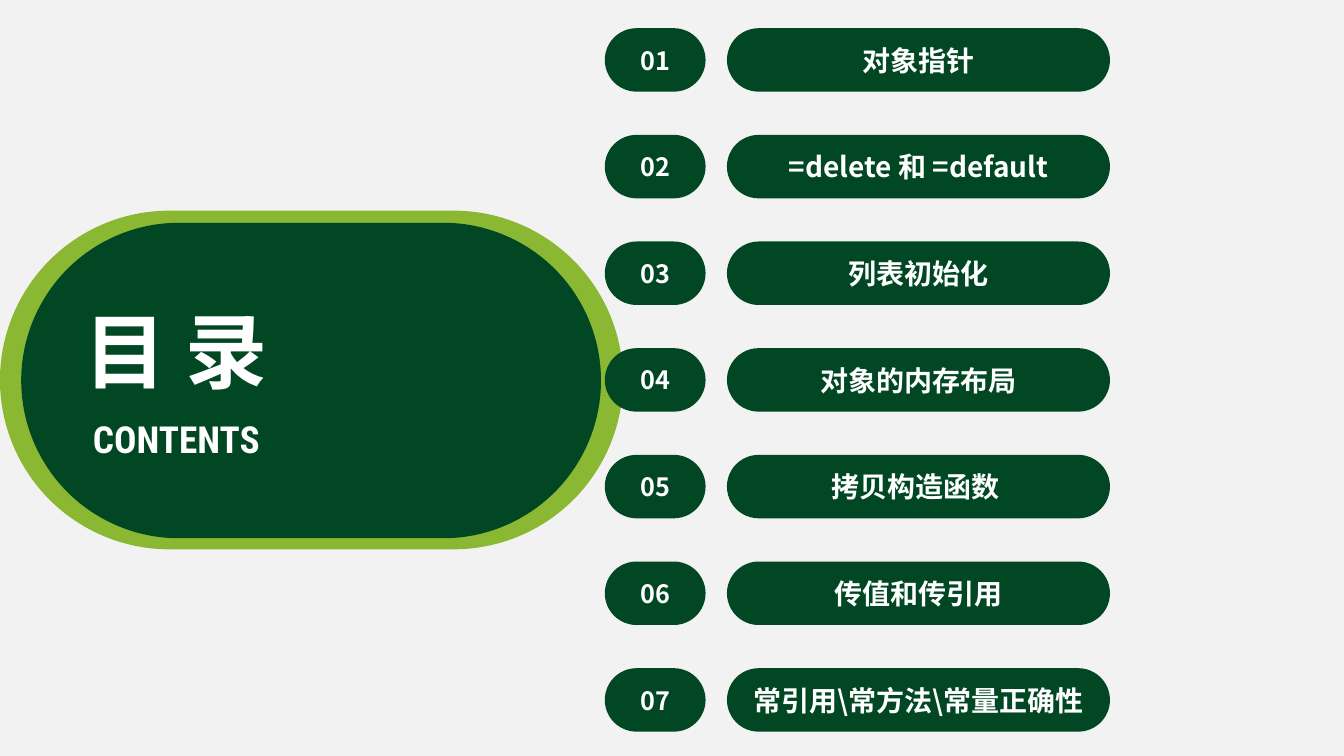
from dataclasses import dataclass

from lxml import etree
from pptx import Presentation
from pptx.dml.color import RGBColor
from pptx.enum.shapes import MSO_SHAPE
from pptx.enum.text import MSO_ANCHOR, MSO_AUTO_SIZE, PP_ALIGN
from pptx.oxml.ns import qn
from pptx.util import Emu, Inches, Pt

PILL = MSO_SHAPE.ROUNDED_RECTANGLE
CENTER = PP_ALIGN.CENTER
MIDDLE = MSO_ANCHOR.MIDDLE
GROW = MSO_AUTO_SIZE.SHAPE_TO_FIT_TEXT

SLIDE_W = Inches(13.333)
SLIDE_H = Inches(7.5)


@dataclass(frozen=True)
class Theme:
    paper: str = "F2F2F2"
    dark: str = "014723"
    lime: str = "8AB833"
    white: str = "FFFFFF"
    cjk: str = "Noto Sans CJK SC"
    latin: str = "Roboto Condensed"
    title: float = 58.6
    subtitle: float = 26.6
    number: float = 18
    topic: float = 20


@dataclass(frozen=True)
class Box:
    """A frame in percent of the slide's width and height."""
    x: float
    y: float
    w: float
    h: float

    def emu(self) -> tuple[Emu, Emu, Emu, Emu]:
        return (Emu(int(SLIDE_W * self.x / 100)), Emu(int(SLIDE_H * self.y / 100)),
                Emu(int(SLIDE_W * self.w / 100)), Emu(int(SLIDE_H * self.h / 100)))


@dataclass(frozen=True)
class Label:
    text: str
    size: float
    font: str


THEME = Theme()

# Agenda grid, in percent of the slide
ROW_TOP, ROW_STEP, ROW_H = 3.73, 14.11, 8.4
NUMBER_X, NUMBER_W = 45, 7.5
TOPIC_X, TOPIC_W = 54.09, 28.5

TOPICS = (
    "对象指针",
    "=delete 和 =default",
    "列表初始化",
    "对象的内存布局",
    "拷贝构造函数 ",
    "传值和传引用",
    "常引用\\常方法\\常量正确性",
)

BADGE = (
    (Box(0, 27.87, 46.36, 44.8), THEME.lime),
    (Box(1.58, 29.47, 43.14, 41.73), THEME.dark),
)
HEADINGS = (
    (Box(4.65, 54.4, 16.95, 7.33), Label("CONTENTS", THEME.subtitle, THEME.latin)),
    (Box(5.25, 39.07, 15.68, 14.53), Label("目 录", THEME.title, THEME.cjk)),
)


def write(tf, label: Label) -> None:
    tf.text = label.text
    p = tf.paragraphs[0]
    p.alignment = CENTER
    r = p.runs[0]
    r.font.name = label.font
    r.font.size = Pt(label.size)
    r.font.bold = True
    r.font.color.rgb = RGBColor.from_string(THEME.white)
    # East Asian typeface
    etree.SubElement(r.font._element, qn("a:ea"), typeface=label.font)


def add_pill(s, box: Box, color: str, label: Label | None = None) -> None:
    sp = s.shapes.add_shape(PILL, *box.emu())
    sp.adjustments[0] = 0.5
    sp.shadow.inherit = False
    sp.fill.solid()
    sp.fill.fore_color.rgb = RGBColor.from_string(color)
    sp.line.fill.background()
    if label:
        tf = sp.text_frame
        tf.word_wrap = True
        tf.vertical_anchor = MIDDLE
        write(tf, label)


def add_heading(s, box: Box, label: Label) -> None:
    tf = s.shapes.add_textbox(*box.emu()).text_frame
    tf.word_wrap = False
    tf.auto_size = GROW
    write(tf, label)


def main() -> None:
    prs = Presentation()
    prs.slide_width, prs.slide_height = SLIDE_W, SLIDE_H
    s = prs.slides.add_slide(prs.slide_layouts[6])
    s.background.fill.solid()
    s.background.fill.fore_color.rgb = RGBColor.from_string(THEME.paper)

    # Title badge
    for box, color in BADGE:
        add_pill(s, box, color)
    for box, label in HEADINGS:
        add_heading(s, box, label)

    # Agenda rows
    for i, topic in enumerate(TOPICS):
        y = ROW_TOP + i * ROW_STEP
        add_pill(s, Box(NUMBER_X, y, NUMBER_W, ROW_H), THEME.dark,
                 Label(f"{i + 1:02d}", THEME.number, THEME.cjk))
        add_pill(s, Box(TOPIC_X, y, TOPIC_W, ROW_H), THEME.dark,
                 Label(topic, THEME.topic, THEME.cjk))

    prs.save("out.pptx")


if __name__ == "__main__":
    main()
